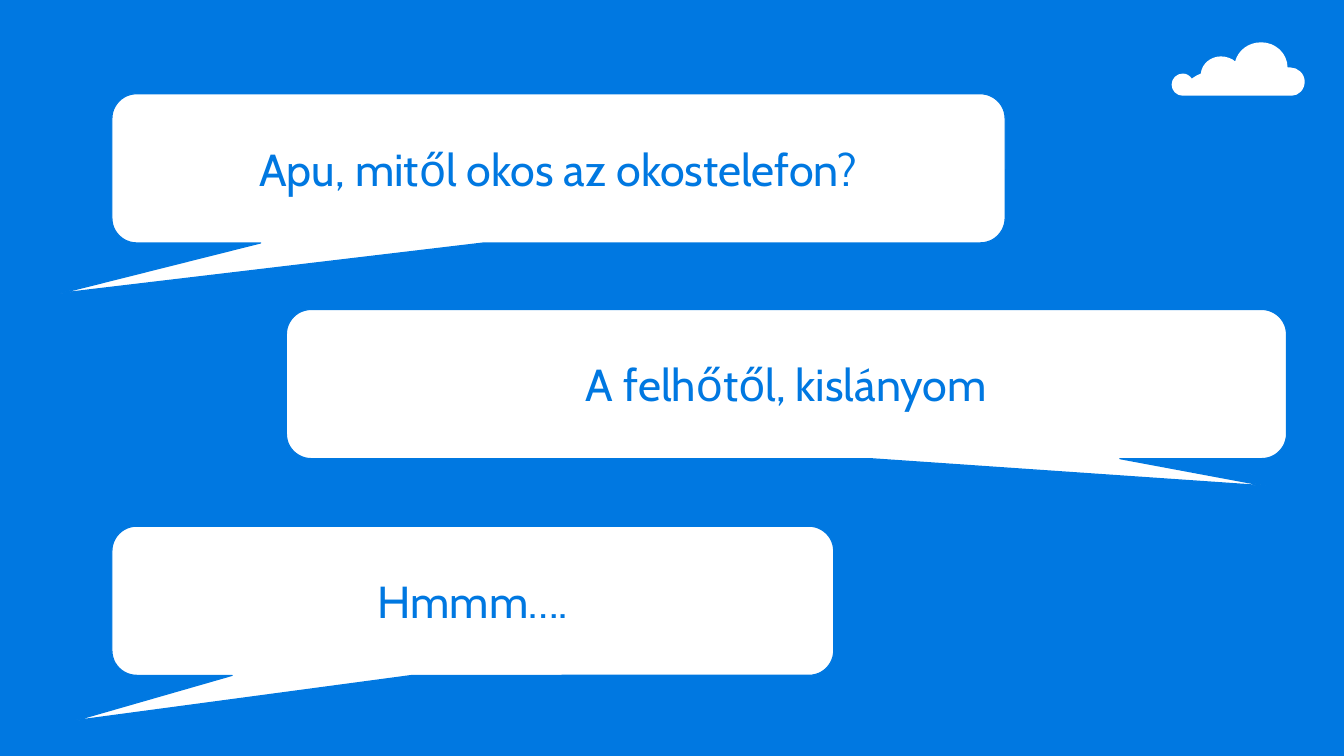
from lxml.etree import Element
from pptx import Presentation
from pptx.dml.color import RGBColor
from pptx.enum.shapes import MSO_SHAPE
from pptx.enum.text import MSO_ANCHOR, PP_ALIGN
from pptx.oxml.ns import qn
from pptx.util import Inches, Pt

BLUE = RGBColor(0x00, 0x78, 0xE1)
WHITE = RGBColor(0xFF, 0xFF, 0xFF)

BUBBLE_HEIGHT = 1.48
CORNER = 1 / 6

# left, top, width, tail tip (x, y), words
BUBBLES = [
    (1.11, 0.93, 8.86, (0.6, 2.91), "Apu, mitől okos az okostelefon?"),
    (2.84, 3.07, 9.92, (12.55, 4.82), "A felhőtől, kislányom"),
    (1.11, 5.22, 7.16, (0.74, 7.15), "Hmmm…."),
]

# Cubic curves: two control points and an end point each
CLOUD_START = (12.8, 0.67)
CLOUD_CURVES = [
    ((12.79, 0.67), (12.78, 0.67), (12.77, 0.67)),
    ((12.77, 0.53), (12.65, 0.42), (12.51, 0.42)),
    ((12.38, 0.42), (12.28, 0.5), (12.25, 0.61)),
    ((12.22, 0.58), (12.16, 0.56), (12.11, 0.56)),
    ((12.01, 0.56), (11.92, 0.63), (11.91, 0.73)),
    ((11.88, 0.74), (11.85, 0.76), (11.82, 0.78)),
    ((11.8, 0.75), (11.77, 0.73), (11.73, 0.73)),
    ((11.67, 0.73), (11.62, 0.78), (11.62, 0.84)),
    ((11.62, 0.9), (11.67, 0.95), (11.73, 0.95)),
    ((12.09, 0.95), (12.45, 0.95), (12.81, 0.95)),
    ((12.88, 0.95), (12.94, 0.89), (12.94, 0.81)),
    ((12.94, 0.73), (12.87, 0.67), (12.8, 0.67)),
]


class SlideBuilder:
    font_format = {"name": "Cabin", "size": Pt(32)}
    frame_format = {"word_wrap": True, "vertical_anchor": MSO_ANCHOR.MIDDLE}

    def __init__(self, slide):
        self.slide = slide
        slide.background.fill.solid()
        slide.background.fill.fore_color.rgb = BLUE

    def paint_white(self, shape):
        shape.shadow.inherit = False
        shape.fill.solid()
        shape.fill.fore_color.rgb = WHITE

    def add_bubble(self, left, top, width, tip, words):
        shape = self.slide.shapes.add_shape(
            MSO_SHAPE.ROUNDED_RECTANGULAR_CALLOUT,
            Inches(left), Inches(top), Inches(width), Inches(BUBBLE_HEIGHT))
        tail_x = (tip[0] - left) / width - 0.5
        tail_y = (tip[1] - top) / BUBBLE_HEIGHT - 0.5
        for index, value in enumerate((tail_x, tail_y, CORNER)):
            shape.adjustments[index] = value
        self.paint_white(shape)
        shape.line.color.rgb = BLUE
        shape.line.width = Pt(0.85)
        frame = shape.text_frame
        for name, value in self.frame_format.items():
            setattr(frame, name, value)
        paragraph = frame.paragraphs[0]
        paragraph.alignment = PP_ALIGN.CENTER
        run = paragraph.add_run()
        run.text = words
        for name, value in self.font_format.items():
            setattr(run.font, name, value)
        run.font.color.rgb = BLUE

    def add_curved_outline(self, start, curves):
        """Draw the end points as a freeform, then bend its segments into curves."""
        builder = self.slide.shapes.build_freeform(*map(Inches, start))
        builder.add_line_segments([tuple(map(Inches, end)) for *_, end in curves])
        shape = builder.convert_to_shape()
        segments = list(shape.element.iter(qn("a:lnTo")))
        for segment, (*controls, _) in zip(segments, curves):
            segment.tag = qn("a:cubicBezTo")
            for index, (x, y) in enumerate(controls):
                point = Element(qn("a:pt"), x=str(Inches(x) - shape.left),
                                y=str(Inches(y) - shape.top))
                segment.insert(index, point)
        self.paint_white(shape)
        shape.line.fill.background()


def main():
    presentation = Presentation()
    presentation.slide_width = Inches(13.33)
    presentation.slide_height = Inches(7.5)
    blank_layout = presentation.slide_layouts[6]
    builder = SlideBuilder(presentation.slides.add_slide(blank_layout))
    for bubble in BUBBLES:
        builder.add_bubble(*bubble)
    builder.add_curved_outline(CLOUD_START, CLOUD_CURVES)
    presentation.save("out.pptx")


if __name__ == "__main__":
    main()
